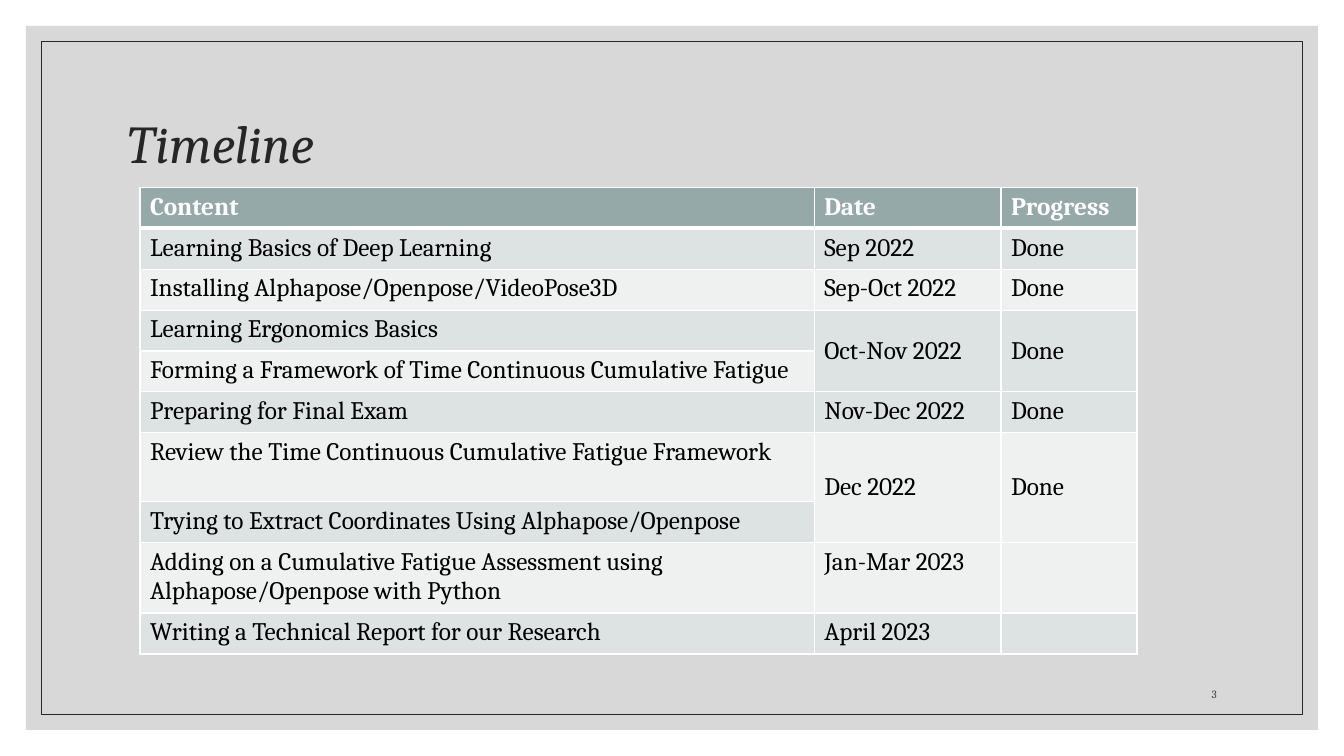
from dataclasses import dataclass

from lxml.etree import SubElement
from pptx import Presentation
from pptx.dml.color import RGBColor
from pptx.enum.shapes import MSO_SHAPE
from pptx.enum.text import MSO_ANCHOR, PP_ALIGN
from pptx.oxml.ns import qn
from pptx.util import Pt


@dataclass(frozen=True)
class Theme:
    font: str = "Cambria"
    panel: str = "BFBFBF"
    ink: str = "262626"
    muted: str = "404040"
    body: str = "000000"
    white: str = "FFFFFF"
    header: str = "96A9A9"
    bands: tuple = ("EFF1F1", "DDE2E2")
    title_size: int = 38
    table_size: int = 18
    number_size: int = 8


class Deck:
    def __init__(self, theme, width, height):
        self.theme = theme
        self.width, self.height = width, height
        self.prs = Presentation()
        self.prs.slide_width, self.prs.slide_height = Pt(width), Pt(height)
        self.s = self.prs.slides.add_slide(self.prs.slide_layouts[6])

    def style(self, p, size, color, bold=False, italic=False):
        f = p.font
        f.name, f.size, f.bold, f.italic = self.theme.font, Pt(size), bold, italic
        f.color.rgb = RGBColor.from_string(color)

    def frame(self, margin, fill=None, opacity=100, line=None):
        sp = self.s.shapes.add_shape(
            MSO_SHAPE.RECTANGLE, Pt(margin), Pt(margin),
            Pt(self.width - 2 * margin), Pt(self.height - 2 * margin))
        sp.shadow.inherit = False
        if fill:
            sp.fill.solid()
            sp.fill.fore_color.rgb = RGBColor.from_string(fill)
            color = sp._element.spPr.find(qn("a:solidFill"))[0]
            SubElement(color, qn("a:alpha"), val=str(opacity * 1000))
        else:
            sp.fill.background()
        if line:
            sp.line.color.rgb = RGBColor.from_string(line)
            sp.line.width = Pt(0.5)
        else:
            sp.line.fill.background()

    def text(self, box, text, size, color, anchor, align=PP_ALIGN.LEFT, italic=False):
        tf = self.s.shapes.add_textbox(*map(Pt, box)).text_frame
        tf.word_wrap = True
        tf.vertical_anchor = anchor
        p = tf.paragraphs[0]
        p.text, p.alignment, p.line_spacing = text, align, 0.9
        self.style(p, size, color, italic=italic)

    def borders(self, cell, top, bottom):
        tcPr = cell._tc.get_or_add_tcPr()
        for side, width in (("L", 1), ("R", 1), ("T", top), ("B", bottom)):
            ln = SubElement(tcPr, qn(f"a:ln{side}"), w=str(Pt(width)))
            fill = SubElement(ln, qn("a:solidFill"))
            SubElement(fill, qn("a:srgbClr"), val=self.theme.white)

    def table(self, left, top, widths, heights, rows, merged_rows):
        t = self.theme
        tbl = self.s.shapes.add_table(
            len(rows), len(widths), Pt(left), Pt(top),
            Pt(sum(widths)), Pt(sum(heights))).table
        tbl.horz_banding = False
        for col, width in zip(tbl.columns, widths):
            col.width = Pt(width)
        for i, (row, height) in enumerate(zip(rows, heights)):
            tbl.rows[i].height = Pt(height)
            head = i == 0
            for j, value in enumerate(row):
                cell = tbl.cell(i, j)
                self.borders(cell, 3 if i == 1 else 1, 3 if head else 1)
                cell.fill.solid()
                cell.fill.fore_color.rgb = RGBColor.from_string(
                    t.header if head else t.bands[i % 2])
                p = cell.text_frame.paragraphs[0]
                p.text = value
                self.style(p, t.table_size, t.white if head else t.body, bold=head)
        for i in merged_rows:
            for j in range(1, len(widths)):
                cell = tbl.cell(i, j)
                cell.merge(tbl.cell(i + 1, j))
                cell.vertical_anchor = MSO_ANCHOR.MIDDLE


ROWS = [
    ("Content", "Date", "Progress"),
    ("Learning Basics of Deep Learning", "Sep 2022", "Done"),
    ("Installing Alphapose/Openpose/VideoPose3D", "Sep-Oct 2022", "Done"),
    ("Learning Ergonomics Basics", "Oct-Nov 2022", "Done"),
    ("Forming a Framework of Time Continuous Cumulative Fatigue", "", ""),
    ("Preparing for Final Exam", "Nov-Dec 2022", "Done"),
    ("Review the Time Continuous Cumulative Fatigue Framework", "Dec 2022", "Done"),
    ("Trying to Extract Coordinates Using Alphapose/Openpose", "", ""),
    ("Adding on a Cumulative Fatigue Assessment using Alphapose/Openpose with Python",
     "Jan-Mar 2023", ""),
    ("Writing a Technical Report for our Research", "April 2023", ""),
]


def main():
    theme = Theme()
    deck = Deck(theme, 960, 540)
    deck.frame(18.6, fill=theme.panel, opacity=60)
    deck.frame(29.4, line=theme.ink)
    deck.text((84, 50.4, 792, 108), "Timeline", theme.title_size, theme.ink,
              MSO_ANCHOR.MIDDLE, italic=True)
    heights = [29.2] * len(ROWS)
    heights[6] = 49.2
    deck.table(100, 133.9, (481.6, 133.4, 97.2), heights, ROWS, merged_rows=(3, 6))
    deck.text((810, 475.2, 66.2, 28.8), "3", theme.number_size, theme.muted,
              MSO_ANCHOR.BOTTOM, PP_ALIGN.RIGHT)
    deck.prs.save("out.pptx")


if __name__ == "__main__":
    main()
